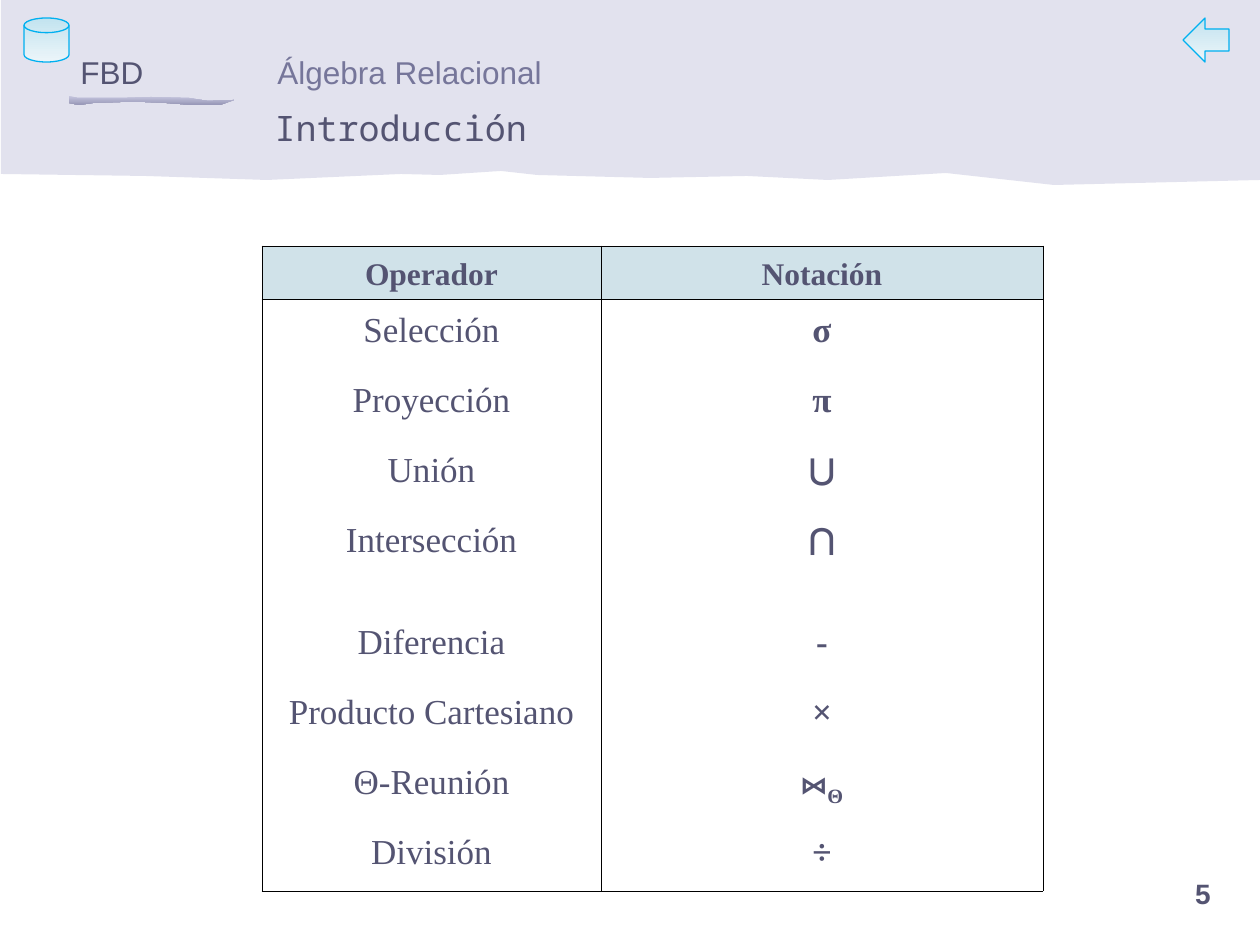
from lxml import etree
from pptx import Presentation
from pptx.dml.color import RGBColor
from pptx.enum.shapes import MSO_SHAPE
from pptx.enum.text import MSO_ANCHOR, MSO_AUTO_SIZE, PP_ALIGN
from pptx.oxml.ns import qn
from pptx.util import Pt

PX = 914400 / 126
LEFT, CENTER = PP_ALIGN.LEFT, PP_ALIGN.CENTER
BOTTOM = MSO_ANCHOR.BOTTOM
DISK, LEFT_ARROW = MSO_SHAPE.FLOWCHART_MAGNETIC_DISK, MSO_SHAPE.LEFT_ARROW

INK = RGBColor(0x54, 0x54, 0x72)
MUTED = RGBColor(0x76, 0x76, 0x9A)
LAVENDER = RGBColor(0xC7, 0xC7, 0xDF)
PURPLE = RGBColor(0x97, 0x97, 0xB7)
SKY = RGBColor(0xC2, 0xE3, 0xEF)
PALE_SKY = RGBColor(0xEC, 0xF5, 0xF9)
CYAN = RGBColor(0x00, 0xB0, 0xF0)
HEADER_BLUE = RGBColor(0xD0, 0xE2, 0xE9)


def px(*lengths):
    """Turn pixel lengths into whole EMU."""
    return [round(length * PX) for length in lengths]


def add_run(paragraph, text, font_name, size, color, bold=False):
    run = paragraph.add_run()
    run.text = text
    run.font.name = font_name
    run.font.size = Pt(size)
    run.font.bold = bold
    run.font.color.rgb = color
    return run


prs = Presentation()
prs.slide_width, prs.slide_height = px(1260, 945)
slide = prs.slides.add_slide(prs.slide_layouts[5])
shapes = slide.shapes

# Torn-edge header band and brush stroke
band_points = [(1, 174), (1, 0), (1260, 0), (1260, 180), (1054, 185), (946, 173),
               (828, 180), (747, 176), (650, 178), (537, 175), (501, 171),
               (440, 175), (401, 174), (267, 180), (145, 176)]
stroke_points = [(220, 105), (193, 105), (166, 103), (144, 102), (122, 102),
                 (93, 103), (79, 105), (69, 103), (69, 96), (78, 98), (100, 98),
                 (121, 98), (151, 97), (189, 98), (208, 101), (234, 100)]
outlines = []
for points in (band_points, stroke_points):
    builder = shapes.build_freeform(*points[0], scale=PX)
    builder.add_line_segments(points[1:], close=True)
    outline = builder.convert_to_shape()
    outline.shadow.inherit = False
    outline.line.fill.background()
    outlines.append(outline)
band, stroke = outlines
band.fill.solid()
band.fill.fore_color.rgb = LAVENDER
band_color = band.element.spPr.find(".//" + qn("a:srgbClr"))
etree.SubElement(band_color, qn("a:alpha")).set("val", "50000")

# Corner icons
icons = []
for preset, box in ((DISK, (24, 18, 45, 44)), (LEFT_ARROW, (1183, 18, 46, 44))):
    icon = shapes.add_shape(preset, *px(*box))
    icon.shadow.inherit = False
    icon.line.color.rgb = CYAN
    icon.line.width = Pt(0.75)
    icons.append(icon)

for shape, top_color, bottom_color in ((stroke, LAVENDER, PURPLE),
                                       (icons[0], SKY, PALE_SKY),
                                       (icons[1], SKY, PALE_SKY)):
    shape.fill.gradient()
    shape.fill.gradient_angle = 270
    for stop, position, color in zip(shape.fill.gradient_stops, (0, 1),
                                     (top_color, bottom_color)):
        stop.position = position
        stop.color.rgb = color

# Course, topic and slide number
for text, box, size, color, bold, align in (
        ("5", (1123, 869, 160, 47), 16, INK, True, CENTER),
        ("FBD", (68, 47, 88, 50), 18, INK, False, LEFT),
        ("Álgebra Relacional", (265, 47, 290, 50), 18, MUTED, False, LEFT)):
    label = shapes.add_textbox(*px(*box)).text_frame
    label.word_wrap = False
    label.vertical_anchor = BOTTOM
    label.paragraphs[0].alignment = align
    add_run(label.paragraphs[0], text, "Arial", size, color, bold)

# Title, brought in front of the band
title = shapes.title
title.left, title.top, title.width, title.height = px(262, 76, 903, 79)
title.text_frame.vertical_anchor = BOTTOM
title.text_frame.auto_size = MSO_AUTO_SIZE.NONE
heading = title.text_frame.paragraphs[0]
heading.alignment = LEFT
add_run(heading, "Introducción", "Noto Sans Mono", 20, INK)
title.element.getparent().append(title.element)

# Operators and their notation
operators = [("Operador", "Notación"), ("Selección", "σ"), ("Proyección", "π"),
             ("Unión", "⋃"), ("Intersección", "⋂"), ("Diferencia", "-"),
             ("Producto Cartesiano", "×"), ("Θ-Reunión", "⋈"), ("División", "÷")]
row_heights = [53, 70, 70, 70, 102, 70, 70, 70, 70]
column_widths = [339, 442]
last_row = len(operators) - 1
table = shapes.add_table(len(operators), 2, *px(262, 246, sum(column_widths),
                                                sum(row_heights))).table
table.first_row = False
table.horz_banding = False
for column, width in zip(table.columns, px(*column_widths)):
    column.width = width

for row_index, (names, height) in enumerate(zip(operators, px(*row_heights))):
    table.rows[row_index].height = height
    is_header = row_index == 0
    edges = {"lnL": True, "lnR": True, "lnT": row_index <= 1,
             "lnB": row_index in (0, last_row)}
    for column_index, text in enumerate(names):
        cell = table.cell(row_index, column_index)
        paragraph = cell.text_frame.paragraphs[0]
        paragraph.alignment = CENTER
        paragraph.line_spacing = 1.15
        add_run(paragraph, text, "Times New Roman", 18 if is_header else 20, INK,
                is_header or column_index == 1)
        cell_properties = cell._tc.get_or_add_tcPr()
        for edge, is_drawn in edges.items():
            border = etree.SubElement(cell_properties, qn("a:" + edge), w="5715")
            if is_drawn:
                border_fill = etree.SubElement(border, qn("a:solidFill"))
                etree.SubElement(border_fill, qn("a:srgbClr"), val="000000")
            else:
                etree.SubElement(border, qn("a:noFill"))
        if is_header:
            cell.fill.solid()
            cell.fill.fore_color.rgb = HEADER_BLUE
        else:
            cell.fill.background()

join_notation = table.cell(7, 1).text_frame.paragraphs[0]
theta = add_run(join_notation, "Θ", "Times New Roman", 20, INK, True)
theta.font._element.set("baseline", "-25000")

prs.save("out.pptx")
